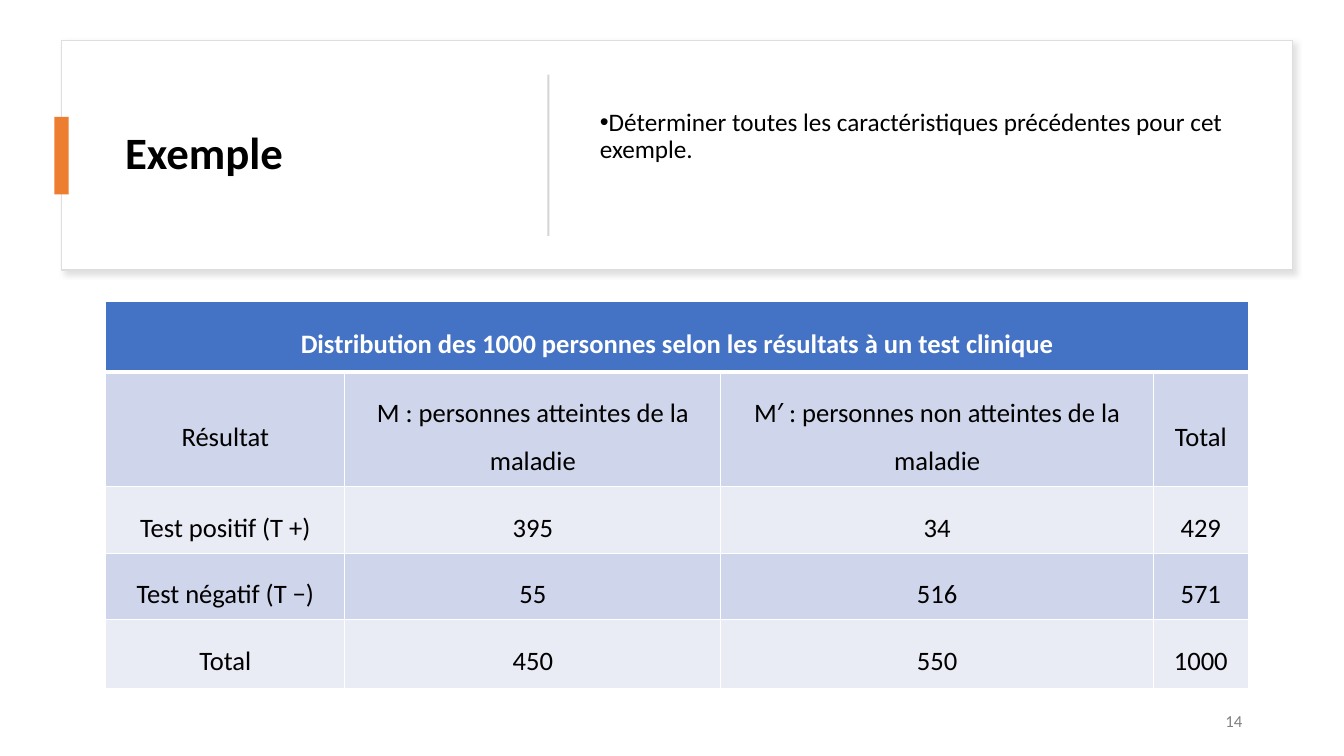
import lxml.etree
import pptx
import pptx.dml.color
import pptx.enum.shapes
import pptx.enum.text
import pptx.oxml.ns
import pptx.util

SCALE = 9144
ALIGN = pptx.enum.text.PP_ALIGN
MIDDLE = pptx.enum.text.MSO_ANCHOR.MIDDLE
qn = pptx.oxml.ns.qn


def paint(fill, colour):
    fill.solid()
    fill.fore_color.rgb = pptx.dml.color.RGBColor.from_string(colour)


def write(para, text, size, colour, bold=False, **layout):
    for name, value in {"space_before": 0, **layout}.items():
        setattr(para, name, value)
    span = para.add_run()
    span.text = text
    font = {"name": "Calibri", "size": pptx.util.Pt(size), "bold": bold}
    for name, value in font.items():
        setattr(span.font, name, value)
    paint(span.font.fill, colour)


deck = pptx.Presentation()
deck.slide_width, deck.slide_height = 1333 * SCALE, 750 * SCALE
page = deck.slides.add_slide(deck.slide_layouts[1])
title, body = page.shapes.title, page.placeholders[1]

blocks = []
for left, top, width, height, colour in [
    (61, 40, 1221, 228, "FFFFFF"),
    (54, 116, 14, 77, "ED7D31"),
    (543, 74, 2, 160, "D5D5D5"),
]:
    block = page.shapes.add_shape(
        pptx.enum.shapes.MSO_SHAPE.RECTANGLE,
        left * SCALE, top * SCALE, width * SCALE, height * SCALE)
    block.shadow.inherit = False
    paint(block.fill, colour)
    block.line.fill.background()
    blocks.append(block)

card = blocks[0]
title.element.addprevious(card.element)
paint(card.line.fill, "DEDEDE")
card.line.width = pptx.util.Pt(1)
effects = card.element.spPr.find(qn("a:effectLst"))
shadow = lxml.etree.SubElement(
    effects, qn("a:outerShdw"), blurRad="50800", dist="38100", dir="2700000")
shade = lxml.etree.SubElement(shadow, qn("a:srgbClr"), val="C5C3C3")
lxml.etree.SubElement(shade, qn("a:alpha"), val="50000")

number = page.shapes.add_textbox(0, 0, SCALE, SCALE)
for box, left, top, width, height in [
    (title, 114, 64, 389, 180),
    (body, 585, 64, 656, 180),
    (number, 942, 695, 300, 40),
]:
    place = {"left": left, "top": top, "width": width, "height": height}
    for name, value in place.items():
        setattr(box, name, value * SCALE)
    frame = {"word_wrap": True, "vertical_anchor": MIDDLE,
             "auto_size": pptx.enum.text.MSO_AUTO_SIZE.NONE}
    for name, value in frame.items():
        setattr(box.text_frame, name, value)

write(title.text_frame.paragraphs[0], "Exemple", 32, "000000", True,
      alignment=ALIGN.LEFT, line_spacing=0.9)

body.text_frame.margin_bottom = 41 * SCALE
task = body.text_frame.paragraphs[0]
settings = task._p.get_or_add_pPr()
settings.set("marL", "0")
settings.set("indent", str(-25 * SCALE))
lxml.etree.SubElement(settings, qn("a:buChar"), char="•")
write(task, "Déterminer toutes les caractéristiques précédentes pour cet exemple.",
      18, "000000", alignment=ALIGN.LEFT, line_spacing=0.9,
      space_after=pptx.util.Pt(6))

write(number.text_frame.paragraphs[0], "14", 12, "808080",
      alignment=ALIGN.RIGHT, space_after=pptx.util.Pt(6))

results = [
    ["Distribution des 1000 personnes selon les résultats à un test clinique", "", "", ""],
    ["Résultat", "M : personnes atteintes de la maladie",
     "M′ : personnes non atteintes de la maladie", "Total"],
    ["Test positif (T +)", "395", "34", "429"],
    ["Test négatif (T −)", "55", "516", "571"],
    ["Total", "450", "550", "1000"],
]
widths = [237, 373, 429, 94]
heights = [70, 113, 65, 65, 68]
fills = ["4472C4", "CFD5EA", "E9EBF5", "CFD5EA", "E9EBF5"]

table = page.shapes.add_table(
    len(heights), len(widths), 105 * SCALE, 299 * SCALE,
    sum(widths) * SCALE, sum(heights) * SCALE).table
for column, width in zip(table.columns, widths):
    column.width = width * SCALE
for row, height in zip(table.rows, heights):
    row.height = height * SCALE
table.cell(0, 0).merge(table.cell(0, len(widths) - 1))

for r, texts in enumerate(results):
    heading = r == 0
    for c, text in enumerate(texts):
        cell = table.cell(r, c)
        look = {"vertical_anchor": MIDDLE,
                "margin_left": 9 * SCALE, "margin_right": 9 * SCALE,
                "margin_top": (11 if heading else 9) * SCALE,
                "margin_bottom": (11 if r in (0, 4) else 9) * SCALE}
        for name, value in look.items():
            setattr(cell, name, value)
        for side in "LRTB":
            thick = (r, side) in [(0, "B"), (1, "T")]
            edge = lxml.etree.SubElement(
                cell._tc.get_or_add_tcPr(), qn("a:ln" + side),
                w=str(pptx.util.Pt(3 if thick else 1)))
            ink = lxml.etree.SubElement(edge, qn("a:solidFill"))
            lxml.etree.SubElement(ink, qn("a:srgbClr"), val="FFFFFF")
        paint(cell.fill, fills[r])
        if text:
            write(cell.text_frame.paragraphs[0], text, 19,
                  "FFFFFF" if heading else "000000", heading,
                  alignment=ALIGN.CENTER, line_spacing=1.5,
                  space_after=pptx.util.Pt(10 if r < 2 else 0))

deck.save("out.pptx")
